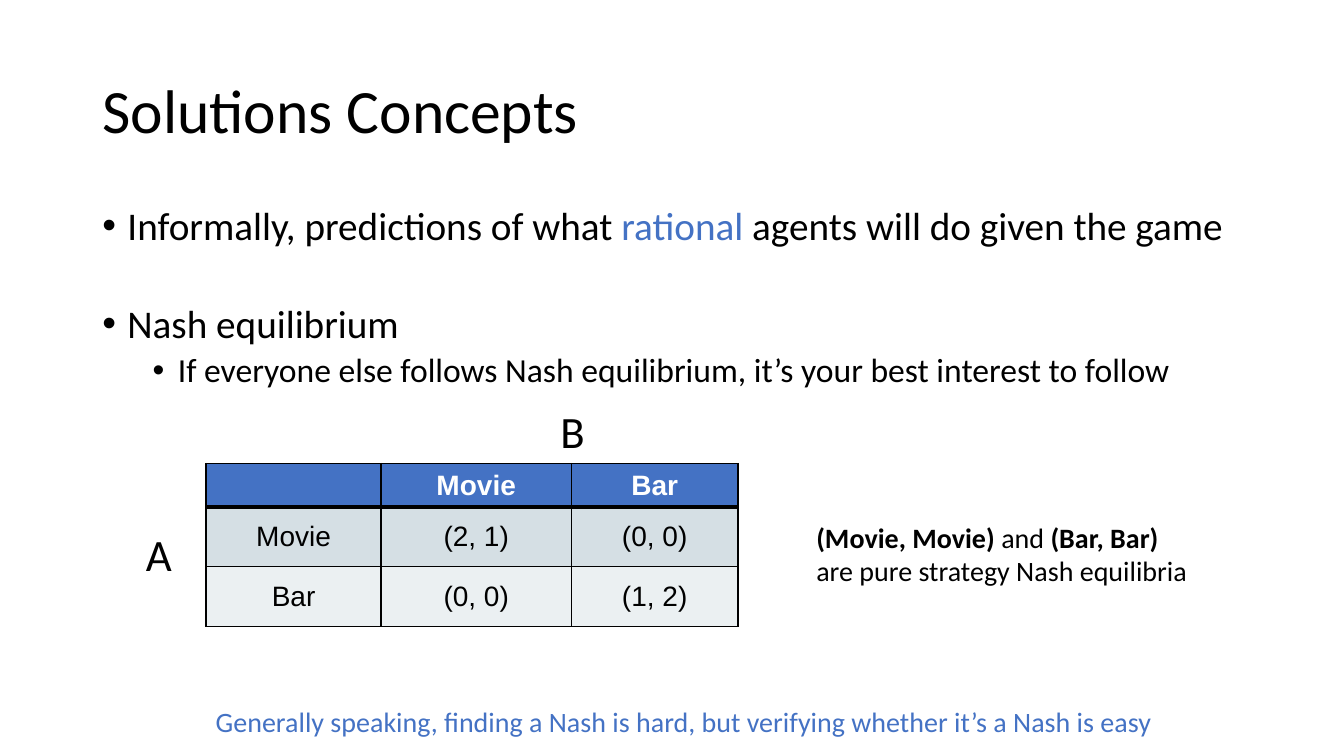
from dataclasses import dataclass

from lxml.etree import SubElement
from pptx import Presentation
from pptx.dml.color import RGBColor
from pptx.enum.text import MSO_ANCHOR, MSO_AUTO_SIZE, PP_ALIGN
from pptx.oxml.ns import qn
from pptx.util import Pt


@dataclass(frozen=True)
class Theme:
    ink: str = "000000"
    accent: str = "4472C4"
    white: str = "FFFFFF"
    bands: tuple = ("D5DFE4", "EBF0F2")
    font: str = "Calibri"
    table_font: str = "Arial"
    title: int = 44
    body: int = 28
    sub: int = 24
    player: int = 32
    small: int = 20


THEME = Theme()


def add_text(p, text, size=THEME.small, color=THEME.ink, font=THEME.font, bold=False):
    r = p.add_run()
    r.text = text
    r.font.size = Pt(size)
    r.font.name = font
    r.font.bold = bold
    r.font.color.rgb = RGBColor.from_string(color)
    return r


def add_box(s, box, wrap=True):
    tf = s.shapes.add_textbox(*map(Pt, box)).text_frame
    tf.word_wrap = wrap
    return tf


def add_bullet(p, indent, before):
    pPr = p._p.get_or_add_pPr()
    pPr.set("marL", str(Pt(indent)))
    pPr.set("indent", str(Pt(-18)))
    p.line_spacing = 0.9
    p.space_before = Pt(before)
    SubElement(pPr, qn("a:buFont")).set("typeface", "Arial")
    SubElement(pPr, qn("a:buChar")).set("char", "•")


def set_borders(cell, top=1, bottom=1):
    tcPr = cell._tc.get_or_add_tcPr()
    widths = {"lnL": 1, "lnR": 1, "lnT": top, "lnB": bottom}
    for i, (side, width) in enumerate(widths.items()):
        ln = tcPr.makeelement(qn(f"a:{side}"), {"w": str(Pt(width))})
        fill = SubElement(ln, qn("a:solidFill"))
        SubElement(fill, qn("a:srgbClr")).set("val", THEME.ink)
        tcPr.insert(i, ln)


def draw_title(s, box, text):
    sp = s.shapes.title
    sp.left, sp.top, sp.width, sp.height = map(Pt, box)
    tf = sp.text_frame
    tf.auto_size = MSO_AUTO_SIZE.NONE
    tf.vertical_anchor = MSO_ANCHOR.MIDDLE
    p = tf.paragraphs[0]
    p.alignment = PP_ALIGN.LEFT
    p.line_spacing = 0.9
    add_text(p, text, size=THEME.title)


def draw_bullets(s, box):
    tf = add_box(s, box)
    p = tf.paragraphs[0]
    add_bullet(p, 18, 0)
    add_text(p, "Informally, predictions of what ", size=THEME.body)
    add_text(p, "rational", size=THEME.body, color=THEME.accent)
    add_text(p, " agents will do given the game", size=THEME.body)

    p = tf.add_paragraph()
    add_bullet(p, 18, 40)
    add_text(p, "Nash equilibrium", size=THEME.body)

    p = tf.add_paragraph()
    p.level = 1
    add_bullet(p, 54, 5)
    add_text(p, "If everyone else follows Nash equilibrium, "
                "it’s your best interest to follow", size=THEME.sub)


def draw_game(s, box):
    x, y, w, h = box
    rows = [["", "Movie", "Bar"],
            ["Movie", "(2, 1)", "(0, 0)"],
            ["Bar", "(0, 0)", "(1, 2)"]]
    table = s.shapes.add_table(3, 3, *map(Pt, box)).table
    for col, width in zip(table.columns, (125, 136, w - 261)):
        col.width = Pt(width)
    header_h = 30.5
    for i, row in enumerate(rows):
        head = i == 0
        table.rows[i].height = Pt(header_h if head else (h - header_h) / 2)
        for j, text in enumerate(row):
            cell = table.cell(i, j)
            cell.vertical_anchor = MSO_ANCHOR.MIDDLE
            cell.fill.solid()
            cell.fill.fore_color.rgb = RGBColor.from_string(
                THEME.accent if head else THEME.bands[i - 1])
            set_borders(cell, top=3 if i == 1 else 1, bottom=3 if head else 1)
            p = cell.text_frame.paragraphs[0]
            p.alignment = PP_ALIGN.CENTER
            if text:
                add_text(p, text, font=THEME.table_font, bold=head,
                         color=THEME.white if head else THEME.ink)

    # Player names beside and above the payoffs
    for name, dx, dy in (("A", -50, 42), ("B", 246, -46)):
        tf = add_box(s, (x + dx, y + dy, 33, 46), wrap=False)
        add_text(tf.paragraphs[0], name, size=THEME.player)


def draw_equilibria(s, box):
    p = add_box(s, box).paragraphs[0]
    add_text(p, "(Movie, Movie) ", bold=True)
    add_text(p, "and ")
    add_text(p, "(Bar, Bar)", bold=True)
    p.add_line_break()
    add_text(p, "are pure strategy Nash equilibria")


def draw_remark(s, box):
    tf = add_box(s, box, wrap=False)
    add_text(tf.paragraphs[0], "Generally speaking, finding a Nash is hard, but "
             "verifying whether it’s a Nash is easy", color=THEME.accent)


def main():
    prs = Presentation()
    prs.slide_width, prs.slide_height = Pt(960), Pt(540)
    s = prs.slides.add_slide(prs.slide_layouts[5])
    draw_title(s, (66, 28.75, 828, 104.4), "Solutions Concepts")
    draw_bullets(s, (66, 143.75, 828, 342.6))
    draw_game(s, (147.2, 331, 380, 115.5))
    draw_equilibria(s, (576, 368, 349, 55.7))
    draw_remark(s, (147, 500, 690, 31.5))
    prs.save("out.pptx")


if __name__ == "__main__":
    main()
